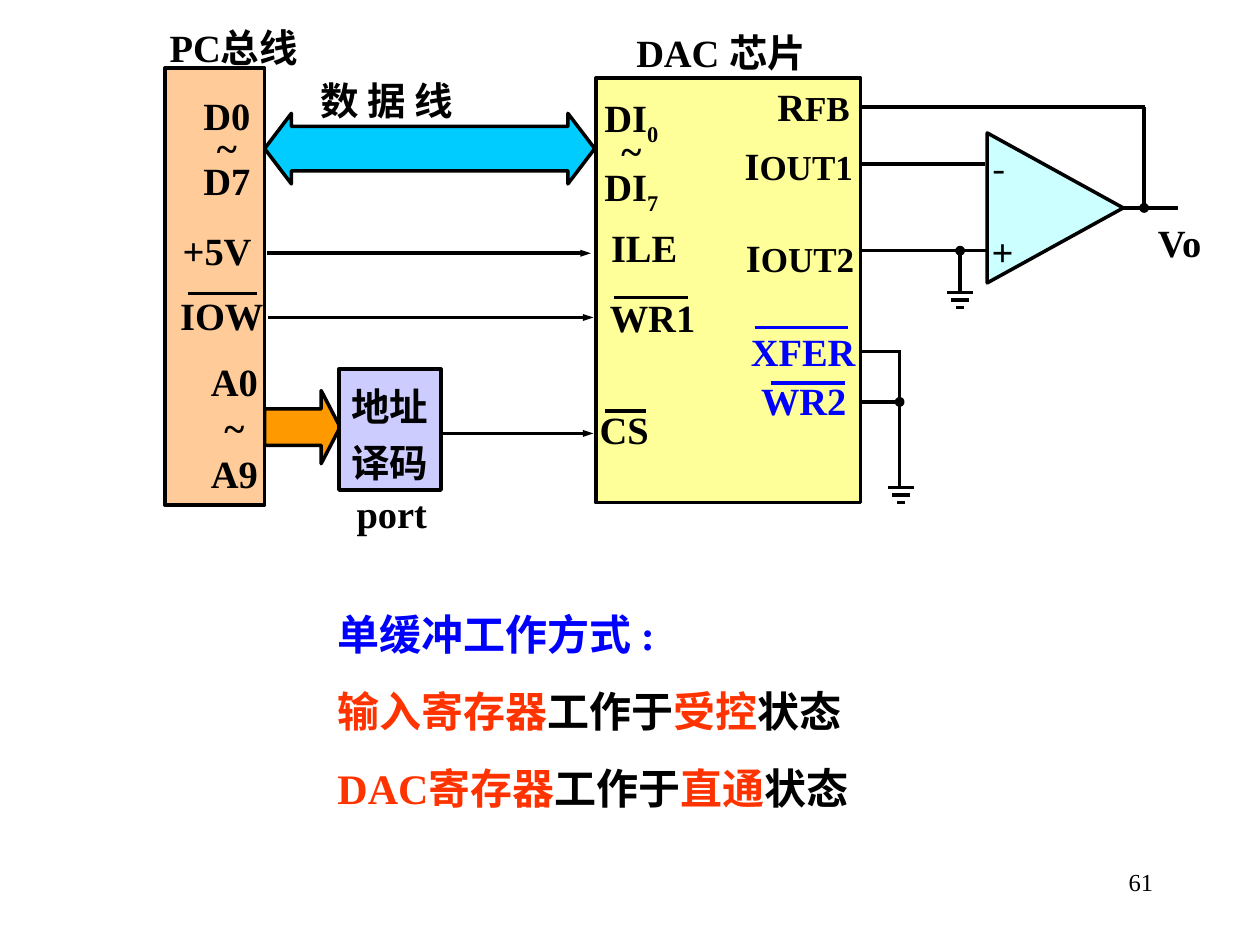
import pptx
import pptx.util
import pptx.dml.color
import pptx.enum.shapes
import pptx.enum.text
from lxml import etree

Inches, Pt = pptx.util.Inches, pptx.util.Pt
KIND = pptx.enum.shapes.MSO_SHAPE
ALIGN = pptx.enum.text.PP_ALIGN
ANCHOR = pptx.enum.text.MSO_ANCHOR
SERIF, SANS = "Times New Roman", "Noto Sans CJK SC"
BLACK, BLUE, RED = "000000", "0000FF", "FF3300"
SIDES = {"l": ALIGN.LEFT, "c": ALIGN.CENTER, "r": ALIGN.RIGHT}

BLOCKS = [
    (KIND.ISOSCELES_TRIANGLE, (7.78, 1.11, 1.19, 1.08), "CCFFFF", [0.5], 90),
    (KIND.LEFT_RIGHT_ARROW, (2.1, 0.9, 2.62, 0.56), "00CCFF", [0.63, 0.38], 0),
    (KIND.RIGHT_ARROW, (2.1, 3.1, 0.6, 0.58), "FF9900", [0.5, 0.26], 0),
    (KIND.RECTANGLE, (1.31, 0.54, 0.79, 3.47), "FFCC99", [], 0),
    (KIND.RECTANGLE, (4.73, 0.62, 2.1, 3.37), "FFFF99", [], 0),
]
DECODER = (2.69, 2.93, 0.81, 0.96)

WIRES = [
    (6.83, 1.3, 7.82, 1.3), (8.91, 1.65, 9.35, 1.65),
    (6.83, 1.99, 7.83, 1.99), (9.08, 1.65, 9.08, 0.85),
    (6.83, 0.85, 9.09, 0.85), (7.62, 1.99, 7.62, 2.32),
    (6.83, 2.79, 7.15, 2.79), (6.83, 3.19, 7.15, 3.19),
    (7.14, 2.78, 7.14, 3.87),
]
ARROWS = [(2.12, 2.01, 4.69), (2.13, 2.52, 4.71), (3.5, 3.44, 4.71)]
BARS = [
    (1.49, 2.33, 2.04, BLACK), (4.8, 3.26, 5.13, BLACK),
    (4.87, 2.36, 5.46, BLACK), (5.99, 2.6, 6.73, BLUE),
    (6.12, 3.04, 6.71, BLUE),
]
GROUNDS = [(7.62, 2.32), (7.15, 3.87)]
DOTS = [(9.08, 1.65), (7.62, 1.99), (7.14, 3.19)]

LABELS = [
    ("+", (7.87, 1.81, 0.23, 0.32), "l", BLACK),
    ("Vo", (9.19, 1.74, 0.39, 0.32), "l", BLACK),
    ("port", (2.83, 3.89, 0.92, 0.46), "l", BLACK),
    ("IOW", (1.38, 2.32, 0.71, 0.4), "r", BLACK),
    ("+5V", (1.45, 1.8, 0.63, 0.41), "l", BLACK),
    ("CS", (4.76, 3.22, 0.56, 0.41), "l", BLACK),
    ("WR1", (4.84, 2.33, 0.71, 0.41), "l", BLACK),
    ("ILE", (4.85, 1.78, 0.56, 0.41), "l", BLACK),
    ("XFER", (5.96, 2.6, 0.92, 0.32), "l", BLUE),
    ("WR2", (6.04, 2.99, 0.84, 0.32), "l", BLUE),
]
TITLES = [
    ("PC总线", (1.25, 0.17, 1.21, 0.46), "c", SERIF, True),
    ("数 据 线", (2.54, 0.59, 1.29, 0.41), "l", SANS, True),
    ("DAC 芯片", (5.05, 0.21, 1.5, 0.39), "l", SERIF, True),
    ("-", (7.88, 1.13, 0.23, 0.32), "l", SANS, False),
]
PINS = [
    ("R", "FB", (6.17, 0.66, 0.63, 0.32)),
    ("I", "OUT1", (5.91, 1.13, 1.06, 0.42)),
    ("I", "OUT2", (5.92, 1.86, 0.96, 0.38)),
]
RANGES = [
    ([("A0", ""), ("~", ""), ("A9", "")], (1.57, 2.84, 0.58, 1.14), 1, 0),
    ([("D0", ""), ("~", ""), ("D7", "")], (1.6, 0.79, 0.4, 1.26), 0.7, 0.04),
    ([("DI", "0"), ("~", ""), ("DI", "7")], (4.74, 0.78, 0.54, 0.92), 0.7, 0.04),
]
NOTES = [
    [("单缓冲工作方式 ", BLUE, SANS), (":", BLUE, SERIF)],
    [("输入寄存器", RED, SERIF), ("工作于", BLACK, SERIF),
     ("受控", RED, SERIF), ("状态", BLACK, SERIF)],
    [("DAC寄存器", RED, SERIF), ("工作于", BLACK, SERIF),
     ("直通", RED, SERIF), ("状态", BLACK, SERIF)],
]

deck = pptx.Presentation()
deck.slide_width, deck.slide_height = Inches(10), Inches(7.5)
shapes = deck.slides.add_slide(deck.slide_layouts[6]).shapes


def rgb(code):
    return pptx.dml.color.RGBColor.from_string(code)


def add_tag(node, name, **attrs):
    return etree.SubElement(node, pptx.oxml.ns.qn(name), attrs)


def block(kind, box, fill, adjust=(), turn=0):
    shape = shapes.add_shape(kind, *map(Inches, box))
    shape.shadow.inherit = False
    shape.fill.solid()
    shape.fill.fore_color.rgb = rgb(fill)
    shape.line.color.rgb = rgb(BLACK)
    shape.line.width = Pt(2)
    shape.rotation = turn
    for i, value in enumerate(adjust):
        shape.adjustments[i] = value
    return shape


def wire(x1, y1, x2, y2, color=BLACK, arrow=False):
    line = shapes.add_connector(pptx.enum.shapes.MSO_CONNECTOR.STRAIGHT,
                                *map(Inches, (x1, y1, x2, y2)))
    line.line.color.rgb = rgb(color)
    line.line.width = Pt(2)
    if arrow:
        add_tag(line.line._get_or_add_ln(), "a:tailEnd",
                type="triangle", w="sm", len="med")
    add_tag(line._element.spPr, "a:effectLst")


def run(text, size=22, color=BLACK, font=SERIF, bold=True, base=0):
    return text, size, color, font, bold, base


def write(shape, rows, side="l", space=None, after=0, pad=(0, 0)):
    frame = shape.text_frame
    frame.word_wrap = True
    frame.margin_left = frame.margin_right = Inches(pad[0])
    frame.margin_top, frame.margin_bottom = Inches(pad[1]), 0
    for i, row in enumerate(rows):
        para = frame.add_paragraph() if i else frame.paragraphs[0]
        para.alignment = SIDES[side]
        para.space_after = Pt(after)
        if space:
            para.line_spacing = space
        for text, size, color, font, bold, base in row:
            part = para.add_run()
            part.text = text
            part.font.size = Pt(size)
            part.font.bold = bold
            part.font.name = font
            part.font.color.rgb = rgb(color)
            props = part.font._element
            add_tag(props, "a:ea", typeface=SANS)
            if base:
                props.set("baseline", str(base))


def label(box, rows, *args, **opts):
    write(shapes.add_textbox(*map(Inches, box)), rows, *args, **opts)


for item in BLOCKS:
    block(*item)
decoder = block(KIND.RECTANGLE, DECODER, "CCCCFF")
decoder.text_frame.vertical_anchor = ANCHOR.MIDDLE
write(decoder, [[run("地址")], [run("译码")]], "c", Pt(32))

for ends in WIRES:
    wire(*ends)
for x1, y, x2 in ARROWS:
    wire(x1, y, x2, y, arrow=True)
for x1, y, x2, color in BARS:
    wire(x1, y, x2, y, color)
for x, y in GROUNDS:
    for i, half in enumerate((0.1, 0.07, 0.03)):
        wire(x - half, y + i * 0.06, x + half, y + i * 0.06)
for x, y in DOTS:
    block(KIND.OVAL, (x - 0.025, y - 0.025, 0.05, 0.05), BLACK)

for text, box, side, color in LABELS:
    label(box, [[run(text, color=color)]], side)
for text, box, side, font, bold in TITLES:
    label(box, [[run(text, font=font, bold=bold)]], side, Pt(28))
for head, tail, box in PINS:
    label(box, [[run(head), run(tail, 20)]])
for rows, box, space, top in RANGES:
    lines = [[run(a)] + ([run(b, base=-25000)] if b else []) for a, b in rows]
    label(box, lines, "c", space, pad=(0, top))
label((2.58, 4.75, 4.5, 1.72),
      [[run(text, 24, color, font) for text, color, font in row] for row in NOTES],
      space=Pt(31), after=13, pad=(0.1, 0.05))
label((7.17, 6.83, 2.08, 0.5), [[run("61", 14, bold=False)]], "r", pad=(0.1, 0.05))

deck.save("out.pptx")
